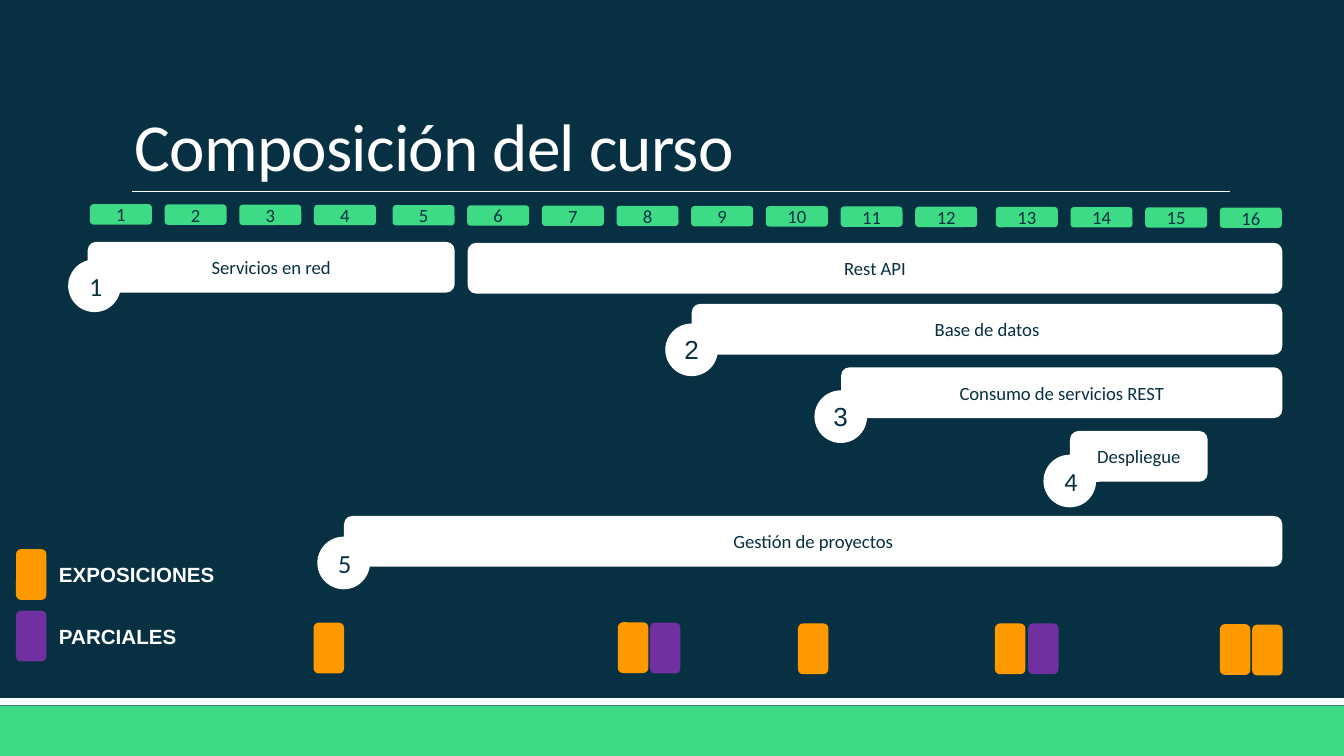
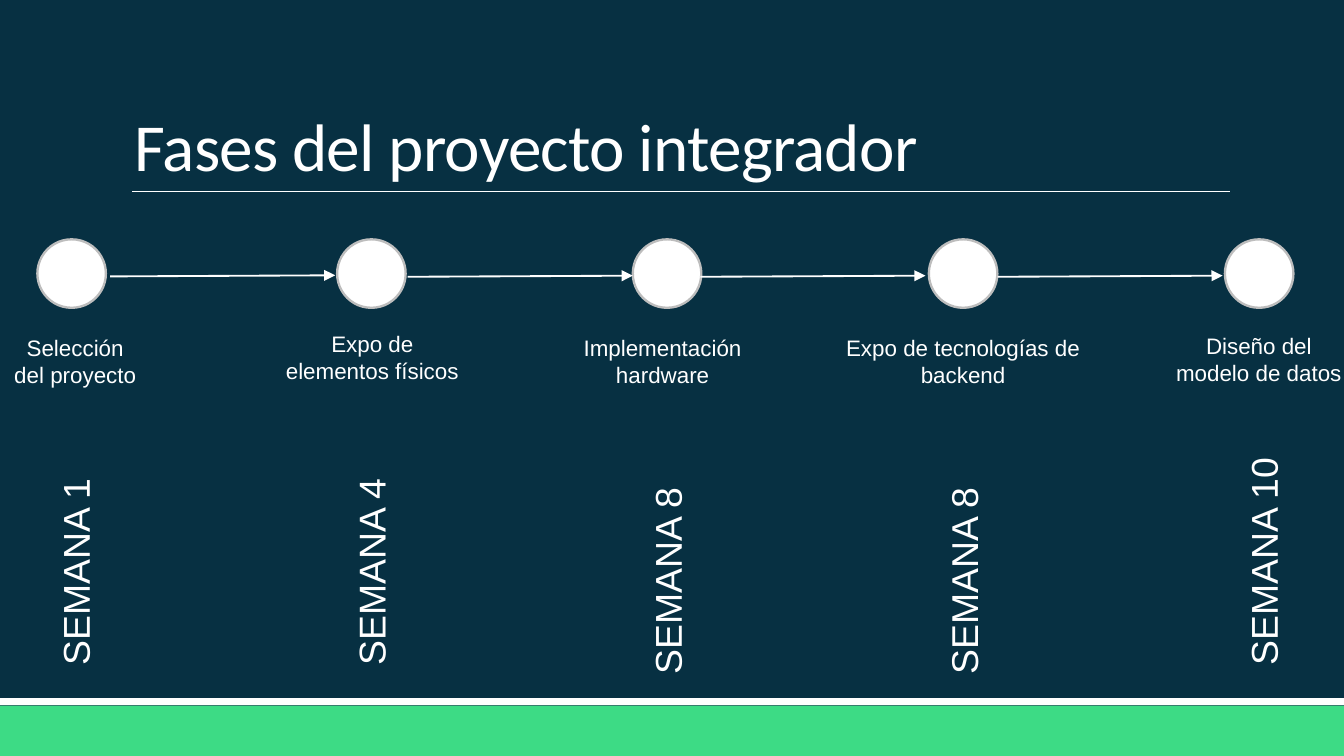
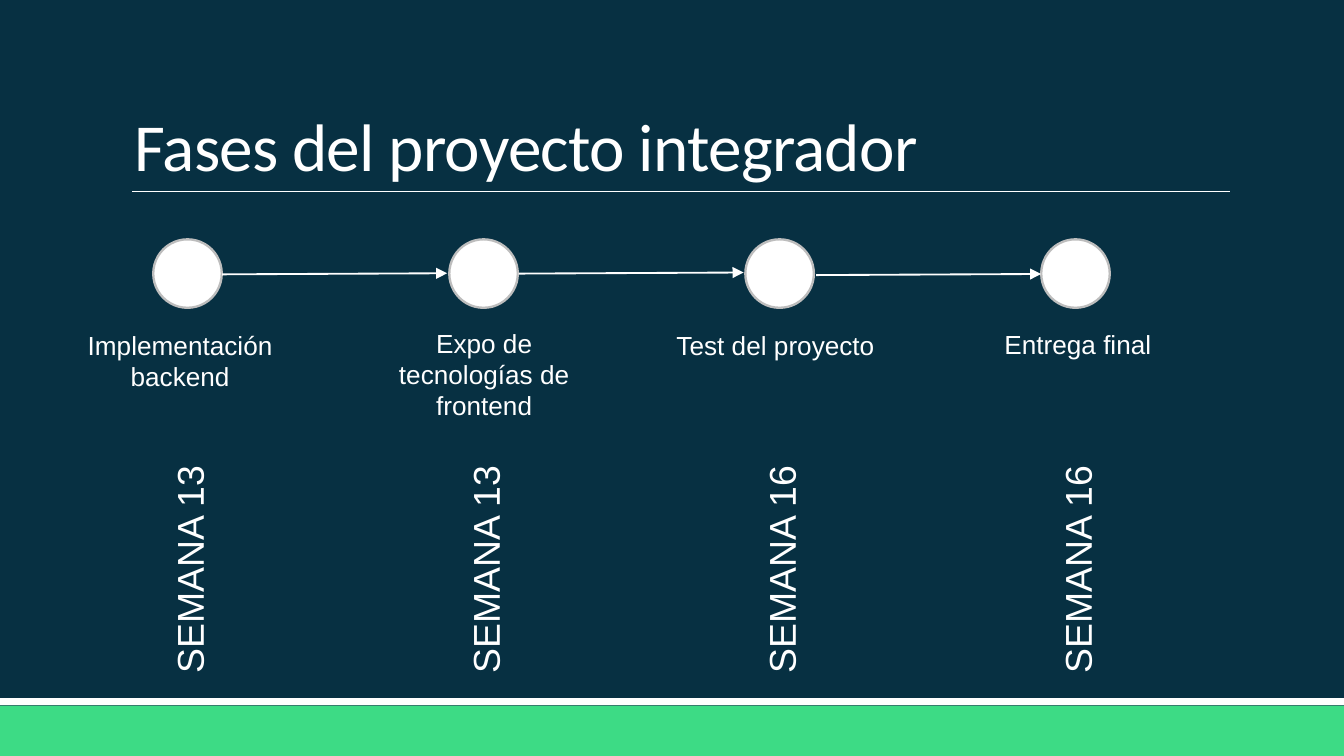
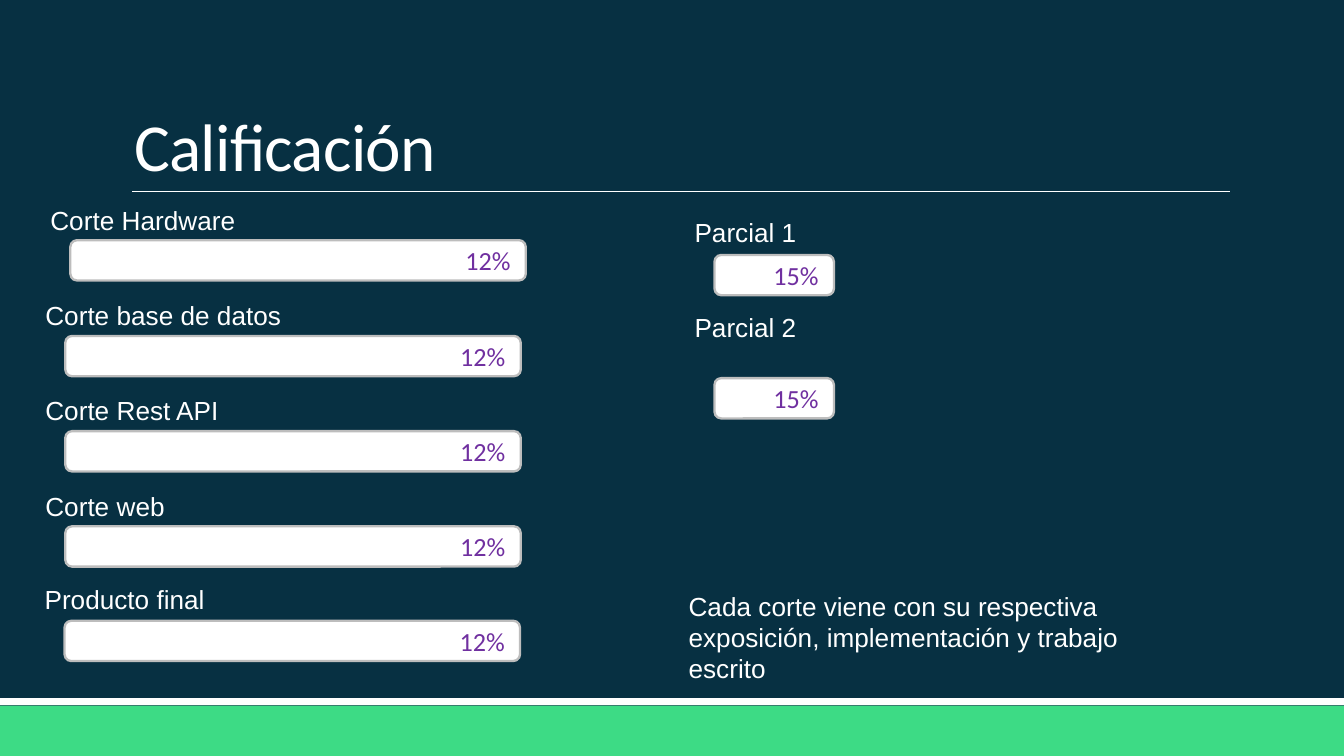
import pptx
import pptx.dml.color
import pptx.enum.shapes
import pptx.enum.text
import pptx.oxml
import pptx.oxml.ns
import pptx.util

Pt = pptx.util.Pt
Shape = pptx.enum.shapes.MSO_SHAPE
Align = pptx.enum.text.PP_ALIGN
Anchor = pptx.enum.text.MSO_ANCHOR
AutoSize = pptx.enum.text.MSO_AUTO_SIZE

NAVY, GREEN, WHITE, GREY = "073042", "3DDB85", "FFFFFF", "BDBDBD"
ORANGE, PURPLE = "FE9900", "7030A0"
WIDTH, HEIGHT = 720, 405

# Course schedule: week badges
WEEK_COUNT, WEEK_STEP = 16, 40
WEEK_LEFT, WEEK_TOP, WEEK_SLOPE = 48.2, 109.4, 0.12
WEEK_SIZE = (33.2, 10.9)
WEEK_SHIFTS = [(13, 5.3), (5, 2.1), (1, 0)]  # first week of a block, extra offset

# Course schedule: text, left, top, right
BAR_HEIGHT, BAR_END = 27.2, 687
MODULES = [
    ("Servicios en red", 47, 129.6, 243.6),
    ("Rest API", 250.5, 130.1, BAR_END),
    ("Base de datos", 370.6, 162.8, BAR_END),
    ("Consumo de servicios REST", 450.6, 196.8, BAR_END),
    ("Despliegue", 573.2, 230.9, 647),
    ("Gestión de proyectos", 184.3, 276.4, BAR_END),
]
# number, left, top, font
NUMBER_SIZE = 28.2
NUMBERS = [
    ("1", 36.5, 139, "Calibri"),
    ("2", 356.4, 173.3, "Arial"),
    ("3", 436.3, 209.1, "Arial"),
    ("4", 559, 243.6, "Calibri"),
    ("5", 170, 287.5, "Calibri"),
]
MARKER_SIZE = (16.3, 27.2)
MARKERS = {
    ORANGE: [(168, 333.6), (331, 333.4), (427.5, 334), (533, 334), (653.5, 334.4), (670.8, 334.7)],
    PURPLE: [(348.2, 333.6), (550.8, 334)],
}
LEGEND = [("EXPOSICIONES", ORANGE, 294.2), ("PARCIALES", PURPLE, 327.2)]

# Project phases
CIRCLE_SIZE, CIRCLE_TOP = 36.7, 128.2
ARROW_LENGTH, ARROW_RISE = 120.6, 0.6
WEEK_BOX_HEIGHT = 31.5
# circle left; label lines, left, top, width; week, centre, base, length
PHASES_START = [
    (20, ["Selección", "del proyecto"], -13, 175.7, 106.6, "SEMANA 1", 40.3, 363.6, 152.6),
    (180.6, ["Expo de", "elementos físicos"], 126, 173.5, 147, "SEMANA 4", 198.8, 363.6, 152.6),
    (339, ["Implementación hardware"], 281.5, 175.7, 147, "SEMANA 8", 357.5, 368.6, 152.6),
    (497.6, ["Expo de tecnologías de backend"], 422, 175.7, 188, "SEMANA 8", 516.2, 368.6, 152.6),
    (656.2, ["Diseño del modelo de datos"], 620.9, 174.5, 107, "SEMANA 10", 676.8, 363.6, 152.6),
]
PHASES_END = [
    (82.1, ["Implementación backend"], 36, 172.8, 121, "SEMANA 13", 101.4, 368, 152.6),
    (240.7, ["Expo de", "tecnologías de frontend"], 182.7, 171.7, 153.4, "SEMANA 13", 260, 368, 152.6),
    (399.3, ["Test del proyecto"], 342, 172.8, 147, "SEMANA 16", 418.5, 368, 193),
    (557.8, ["Entrega final"], 504, 172.2, 147, "SEMANA 16", 577.1, 368, 193),
]
# arrow start: left, top
ARROWS_START = [(59, 148.1), (218.4, 148.3), (375.2, 148.3), (534.4, 148.3)]
ARROWS_END = [(119, 147), (277.8, 146.6), (437.2, 147.4)]

# Grades: label, label left, label top, bar drop, bar width, value
GRADE_INDENT, GRADE_HEIGHT = 17.8, 21.6
CUT_BAR, EXAM_BAR = 244, 64
GRADES = [
    ("Corte Hardware", 19.9, 105.7, 23, CUT_BAR, "12%"),
    ("Corte base de datos", 17.2, 157, 23, CUT_BAR, "12%"),
    ("Corte Rest API", 17.2, 208, 23, CUT_BAR, "12%"),
    ("Corte web", 17.2, 259, 23, CUT_BAR, "12%"),
    ("Producto final", 16.8, 309, 23.6, CUT_BAR, "12%"),
    ("Parcial 1", 365, 112.3, 24.3, EXAM_BAR, "15%"),
    ("Parcial 2", 365, 163.2, 39.4, EXAM_BAR, "15%"),
]
GRADE_NOTE = "Cada corte viene con su respectiva exposición, implementación y trabajo escrito"


def rgb(value):
    return pptx.dml.color.RGBColor.from_string(value)


def write(frame, lines, size, color, font="Arial", align=Align.LEFT, bold=False):
    for index, line in enumerate(lines):
        para = frame.paragraphs[0] if index == 0 else frame.add_paragraph()
        para.alignment = align
        span = para.add_run()
        span.text = line
        span.font.size, span.font.name, span.font.bold = Pt(size), font, bold
        span.font.color.rgb = rgb(color)


def add_box(slide, kind, left, top, width, height, fill, outline=None):
    box = slide.shapes.add_shape(kind, Pt(left), Pt(top), Pt(width), Pt(height))
    box.shadow.inherit = False
    box.fill.solid()
    box.fill.fore_color.rgb = rgb(fill)
    if outline:
        box.line.color.rgb = rgb(outline)
        box.line.width = Pt(1.25)
    else:
        box.line.fill.background()
    return box


def fill_text(box, text, size, color=NAVY, align=Align.CENTER):
    """Write one line in the vertical middle of a shape."""
    frame = box.text_frame
    frame.vertical_anchor = Anchor.MIDDLE
    frame.margin_top = frame.margin_bottom = 0
    write(frame, [text], size, color, "Calibri", align)


def add_text(slide, lines, left, top, width, height, size, color=WHITE, wrap=True, **style):
    box = slide.shapes.add_textbox(Pt(left), Pt(top), Pt(width), Pt(height))
    box.text_frame.word_wrap = wrap
    box.text_frame.auto_size = AutoSize.SHAPE_TO_FIT_TEXT
    write(box.text_frame, lines, size, color, **style)
    return box


def add_line(slide, start, end, width, arrow=False):
    line = slide.shapes.add_connector(
        pptx.enum.shapes.MSO_CONNECTOR.STRAIGHT, *(Pt(value) for value in start + end))
    line.line.color.rgb = rgb(WHITE)
    line.line.width = Pt(width)
    if arrow:
        head = pptx.oxml.parse_xml(
            f'<a:tailEnd {pptx.oxml.ns.nsdecls("a")} type="triangle"/>')
        line.line._get_or_add_ln().append(head)
    line.element.spPr.append(
        pptx.oxml.parse_xml(f'<a:effectLst {pptx.oxml.ns.nsdecls("a")}/>'))
    return line


def dress_layout(layout, slide):
    """Draw the shared bands and title rule, then move them to the layout."""
    layout.background.fill.solid()
    layout.background.fill.fore_color.rgb = rgb(NAVY)
    shared = [
        add_box(slide, Shape.RECTANGLE, 0, 378, WIDTH, 27, GREEN),
        add_box(slide, Shape.RECTANGLE, 0, 374, WIDTH, 3.8, WHITE),
        add_line(slide, (70.8, 102.6), (658.8, 102.6), 0.5),
    ]
    for part in shared:
        layout.shapes.element.append(part.element)


def set_title(slide, text):
    title = slide.shapes.title
    title.left, title.top, title.width, title.height = Pt(64.8), Pt(17.3), Pt(594), Pt(85.6)
    frame = title.text_frame
    frame.word_wrap = True
    frame.auto_size = AutoSize.NONE
    frame.vertical_anchor = Anchor.BOTTOM
    write(frame, [text], 36, WHITE, "Calibri")
    para = frame.paragraphs[0]
    para.line_spacing = 0.85
    para.runs[0].font._element.set("spc", "-40")


def draw_schedule(slide):
    for index in range(WEEK_COUNT):
        week = index + 1
        shift = next(extra for first, extra in WEEK_SHIFTS if week >= first)
        badge = add_box(slide, Shape.ROUNDED_RECTANGLE, WEEK_LEFT + WEEK_STEP * index + shift,
                        WEEK_TOP + WEEK_SLOPE * index, *WEEK_SIZE, GREEN)
        fill_text(badge, str(week), 10)
    for text, left, top, right in MODULES:
        bar = add_box(slide, Shape.ROUNDED_RECTANGLE, left, top, right - left, BAR_HEIGHT, WHITE)
        fill_text(bar, text, 10)
    for number, left, top, font in NUMBERS:
        circle = add_box(slide, Shape.OVAL, left, top, NUMBER_SIZE, NUMBER_SIZE, WHITE)
        if font == "Calibri":
            fill_text(circle, number, 14)
        else:
            add_text(slide, [number], left + 3, top + 1.9, 22.2, 24.2, 14, NAVY,
                     wrap=False, align=Align.CENTER)
    for color, places in MARKERS.items():
        for left, top in places:
            add_box(slide, Shape.ROUNDED_RECTANGLE, left, top, *MARKER_SIZE, color)
    for text, color, top in LEGEND:
        add_box(slide, Shape.ROUNDED_RECTANGLE, 8.6, top, *MARKER_SIZE, color)
        add_text(slide, [text], 24.5, top + 3.3, 113.8, 20.6, 11, bold=True)


def draw_phases(slide, phases, arrows, label_size):
    for left, lines, label_left, label_top, label_width, week, centre, base, length in phases:
        add_box(slide, Shape.OVAL, left, CIRCLE_TOP, CIRCLE_SIZE, CIRCLE_SIZE, WHITE, GREY)
        add_text(slide, lines, label_left, label_top, label_width, 36, label_size,
                 align=Align.CENTER)
        week_box = add_text(slide, [week], centre - length / 2,
                            base - length / 2 - WEEK_BOX_HEIGHT / 2,
                            length, WEEK_BOX_HEIGHT, 20)
        week_box.rotation = 270
    for left, top in arrows:
        add_line(slide, (left, top), (left + ARROW_LENGTH, top - ARROW_RISE), 1, arrow=True)


def draw_grades(slide):
    for label, left, top, drop, width, value in GRADES:
        add_text(slide, [label], left, top, 182, 24.2, 14)
        bar = add_box(slide, Shape.ROUNDED_RECTANGLE, left + GRADE_INDENT, top + drop,
                      width, GRADE_HEIGHT, WHITE, GREY)
        fill_text(bar, value, 14, PURPLE, Align.RIGHT)
    add_text(slide, [GRADE_NOTE], 361.8, 312.6, 289.4, 41, 14)


def main():
    deck = pptx.Presentation()
    deck.slide_width, deck.slide_height = Pt(WIDTH), Pt(HEIGHT)
    layout = deck.slide_layouts[5]
    pages = [
        ("Composición del curso", draw_schedule, ()),
        ("Fases del proyecto integrador", draw_phases, (PHASES_START, ARROWS_START, 12)),
        ("Fases del proyecto integrador", draw_phases, (PHASES_END, ARROWS_END, 14)),
        ("Calificación", draw_grades, ()),
    ]
    for index, (title, draw, content) in enumerate(pages):
        slide = deck.slides.add_slide(layout)
        if index == 0:
            dress_layout(layout, slide)
        set_title(slide, title)
        draw(slide, *content)
    deck.save("out.pptx")


if __name__ == "__main__":
    main()
